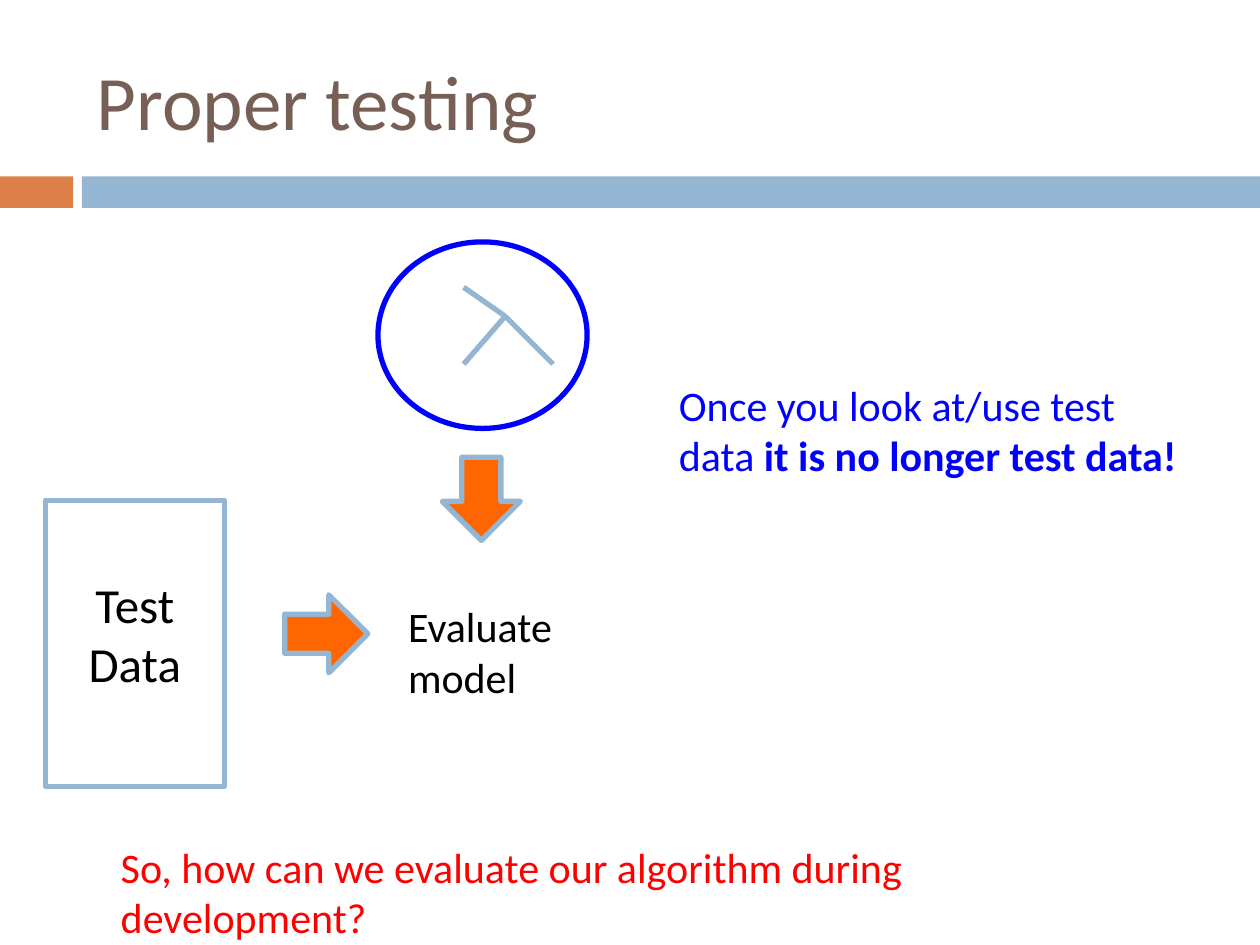
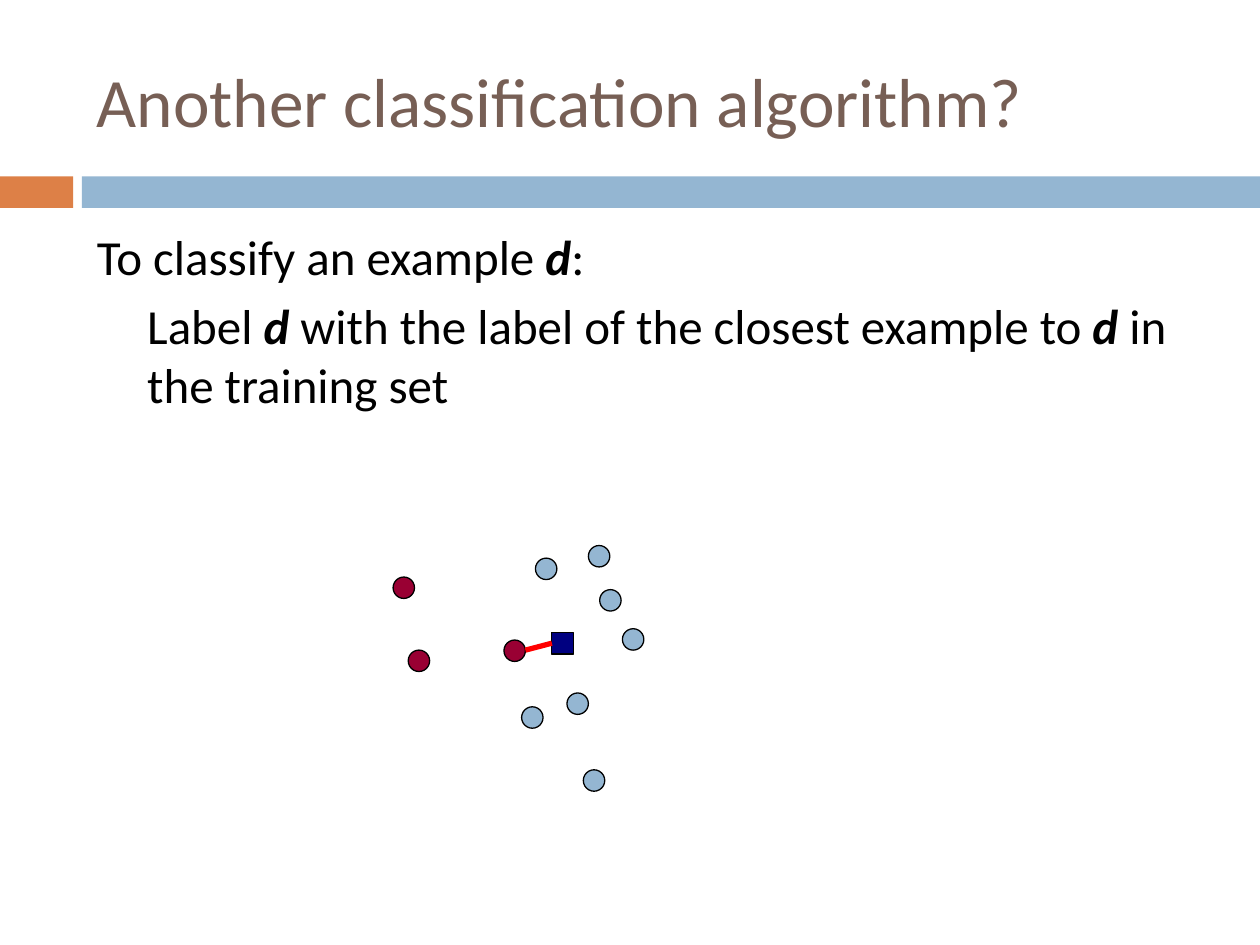
"""Build two slides on proper testing and nearest-example classification."""
from dataclasses import dataclass

from lxml import etree
from pptx import Presentation
from pptx import util as u
from pptx.dml.color import RGBColor
from pptx.enum import shapes, text
from pptx.oxml.ns import qn


@dataclass(frozen=True)
class Theme:
    font: str = "Calibri"
    title: str = "775F55"
    accent: str = "DD8047"
    band: str = "94B6D2"
    ink: str = "000000"
    blue: str = "0000FF"
    red: str = "FF0000"
    arrow: str = "FF6600"
    crimson: str = "990033"
    navy: str = "000080"
    title_size: float = 44
    long_title_size: float = 39.6
    body_size: float = 28
    note_size: float = 24
    thick: float = 3
    thin: float = 0.75


theme = Theme()
kinds = shapes.MSO_SHAPE
bold = {"bold": True}
symbol = {"bold": True, "italic": True}


def add_figure(page, kind, area, fill=None, line=None, width=theme.thick):
    figure = page.shapes.add_shape(kind, *map(u.Inches, area))
    figure.shadow.inherit = False
    for part, color in ((figure.fill, fill), (figure.line.fill, line)):
        if color:
            part.solid()
            part.fore_color.rgb = RGBColor.from_string(color)
        else:
            part.background()
    if line:
        figure.line.width = u.Pt(width)
    return figure


def add_words(page, area, paragraphs, size, color, anchor="TOP", **layout):
    box = page.shapes.add_textbox(*map(u.Inches, area))
    frame = box.text_frame
    frame.word_wrap = True
    frame.vertical_anchor = text.MSO_ANCHOR[anchor]
    for index, spans in enumerate(paragraphs):
        para = frame.add_paragraph() if index else frame.paragraphs[0]
        for name, value in layout.items():
            setattr(para, name, value)
        for words, formats in spans:
            span = para.add_run()
            span.text = words
            span.font.color.rgb = RGBColor.from_string(color)
            for name, value in {"name": theme.font, "size": u.Pt(size), **formats}.items():
                setattr(span.font, name, value)
    return frame


deck = Presentation()
deck.slide_width, deck.slide_height = u.Inches(10), u.Inches(7.5)

pages = []
for title, size in (
    ("Proper testing", theme.title_size),
    ("Another classification algorithm?", theme.long_title_size),
):
    page = deck.slides.add_slide(deck.slide_layouts[6])
    add_figure(page, kinds.RECTANGLE, (0, 1.4, 0.58, 0.25), theme.accent)
    add_figure(page, kinds.RECTANGLE, (0.65, 1.4, 9.35, 0.25), theme.band)
    add_words(page, (0.67, 0.25, 8.92, 1.08), [[(title, {})]], size, theme.title, "MIDDLE")
    pages.append(page)
testing, nearest = pages
connectors = []

add_figure(testing, kinds.RECTANGLE, (0.36, 3.97, 1.42, 2.27), line=theme.band)
add_words(testing, (0.58, 4.51, 0.98, 1.04), [[("Test", {})], [("Data", {})]],
          theme.body_size, theme.ink, alignment=text.PP_ALIGN.CENTER)

add_figure(testing, kinds.OVAL, (3, 1.92, 1.66, 1.48), line=theme.blue)
fork = (4.01, 2.51)
for tip in ((3.68, 2.28), (3.68, 2.89), (4.39, 2.89)):
    branch = testing.shapes.add_connector(
        shapes.MSO_CONNECTOR.STRAIGHT, *map(u.Inches, fork + tip))
    connectors.append((branch, theme.band))

for left, top, turn in ((3.49, 3.65, 90), (2.26, 4.72, 0)):
    arrow = add_figure(testing, kinds.RIGHT_ARROW, (left, top, 0.66, 0.62),
                       theme.arrow, theme.band)
    arrow.rotation = turn

for area, spans, color in (
    ((3.14, 4.72, 2.2, 0.5), [("Evaluate model", {})], theme.ink),
    ((5.29, 2.96, 4.29, 0.91),
     [("Once you look at/use test data ", {}), ("it is no longer test data!", bold)],
     theme.blue),
    ((0.86, 6.63, 8.28, 0.5),
     [("So, how can we evaluate our algorithm during development?", {})], theme.red),
):
    add_words(testing, area, [spans], theme.note_size, color)

steps = add_words(nearest, (0.67, 1.75, 8.92, 4.92), [
    [("To classify an example ", {}), ("d", symbol), (":", {})],
    [("Label ", {}), ("d", symbol), (" with the label of the closest example to ", {}),
     ("d", symbol), (" in the training set", {})],
], theme.body_size, theme.ink, space_before=u.Pt(7))
detail = steps.paragraphs[1]
detail.level = 1
detail.space_before = u.Pt(5.5)
for name, value in {"marL": u.Inches(0.4), "indent": 0}.items():
    detail._p.get_or_add_pPr().set(name, str(value))

marker = 0.17
examples = {
    theme.band: ((4.5, 5.5), (4.67, 4.33), (4.63, 6.11), (4.94, 4.99),
                 (4.76, 4.68), (4.25, 4.43), (4.14, 5.61)),
    theme.crimson: ((3.12, 4.58), (3.24, 5.16), (4, 5.08)),
}
for color, places in examples.items():
    for place in places:
        add_figure(nearest, kinds.OVAL, (*place, marker, marker), color, theme.ink, theme.thin)
query = add_figure(nearest, kinds.RECTANGLE, (4.38, 5.02, marker, marker),
                   theme.navy, theme.ink, theme.thin)
link = nearest.shapes.add_connector(
    shapes.MSO_CONNECTOR.STRAIGHT, *map(u.Inches, (4.17, 5.16, 4.38, 5.11)))
link.end_connect(query, 1)
connectors.append((link, theme.red))

for connector, color in connectors:
    connector.line.color.rgb = RGBColor.from_string(color)
    connector.line.width = u.Pt(theme.thick)
    etree.SubElement(connector._element.spPr, qn("a:effectLst"))

deck.save("out.pptx")
